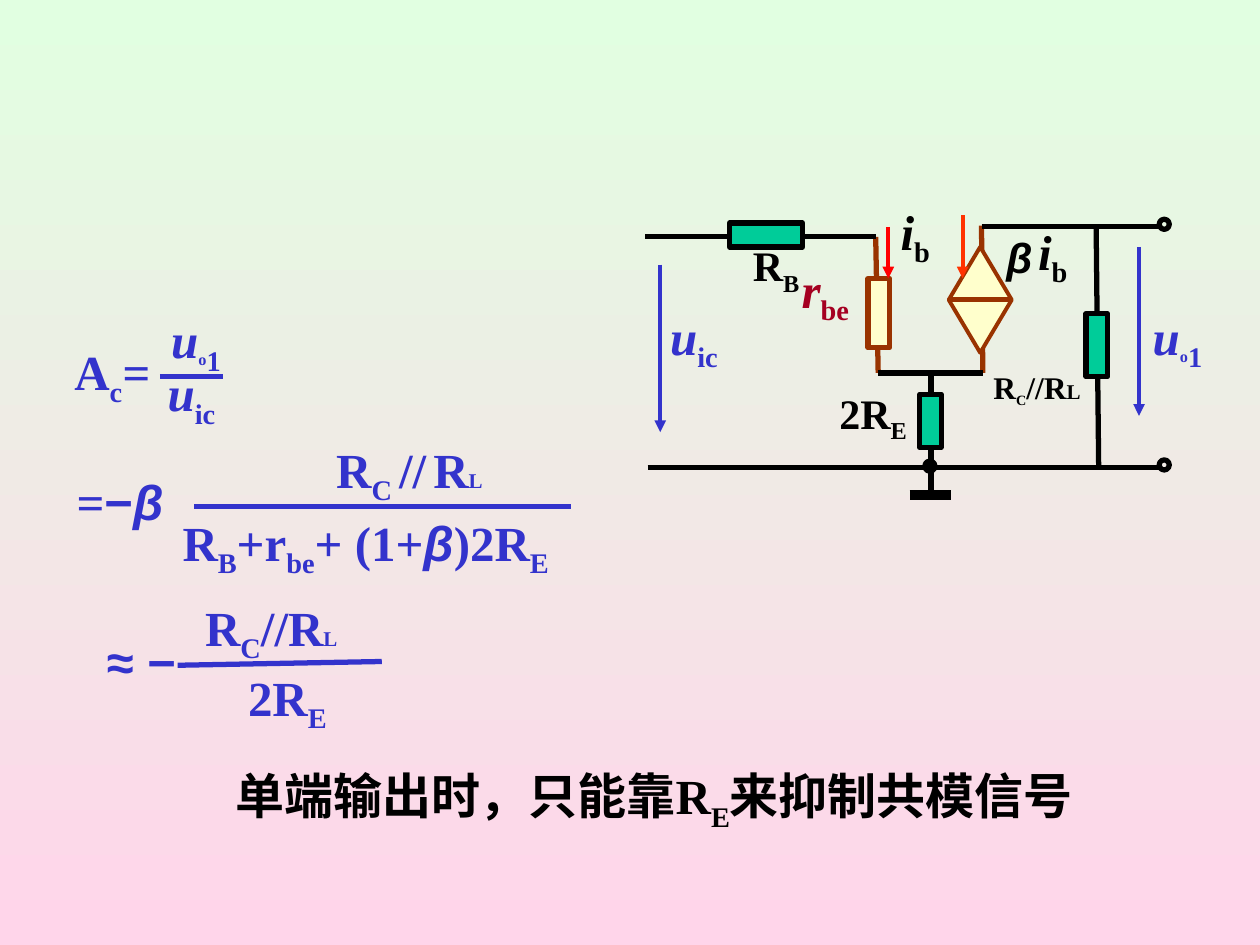
from lxml import etree
from pptx import Presentation
from pptx import util as u
from pptx.dml.color import RGBColor
from pptx.enum import shapes, text
from pptx.oxml.ns import qn

BLACK = RGBColor(0x00, 0x00, 0x00)
BLUE = RGBColor(0x33, 0x33, 0xCC)
BROWN = RGBColor(0x99, 0x33, 0x00)
CRIMSON = RGBColor(0xA5, 0x00, 0x21)
RED = RGBColor(0xFF, 0x00, 0x00)
ORANGE = RGBColor(0xFF, 0x33, 0x00)
GREEN = RGBColor(0x00, 0xCC, 0x99)
CREAM = RGBColor(0xFF, 0xFF, 0xCC)
MINT = RGBColor(0xE1, 0xFF, 0xE1)
PINK = RGBColor(0xFF, 0xD5, 0xEA)

SUB = {"baseline": -25000}
ITALIC = {"italic": True}
ARIAL = {"name": "Arial"}
SMALL = {"size": 12}
SMALL_SUB = {"size": 16, "baseline": -25000}

U_IC = [("u", ITALIC), ("ic", SUB)]
U_O1 = [("u", ITALIC), ("o", SMALL_SUB), ("1", SUB)]
I_B = [("i", ITALIC), ("b", SUB)]


class CircuitSlide:
    font = {"name": "Times New Roman", "bold": True, "italic": False}

    def __init__(self, prs):
        self.s = prs.slides.add_slide(prs.slide_layouts[6])

    def background(self, top, bottom):
        fill = self.s.background.fill
        fill.gradient()
        fill.gradient_angle = 270
        for stop, position, color in zip(fill.gradient_stops, (0, 1), (top, bottom)):
            stop.position = position
            stop.color.rgb = color

    def stroke(self, sp, color, width):
        sp.line.color.rgb = color
        sp.line.width = u.Pt(width)

    def line(self, x1, y1, x2, y2, color=BLACK, width=3, arrow=False):
        sp = self.s.shapes.add_connector(
            shapes.MSO_CONNECTOR.STRAIGHT, *map(u.Inches, (x1, y1, x2, y2)))
        self.stroke(sp, color, width)
        if arrow:
            etree.SubElement(sp.line._get_or_add_ln(), qn("a:tailEnd"), type="triangle")
        etree.SubElement(sp._element.spPr, qn("a:effectLst"))

    def arrow(self, x, top, bottom, color):
        self.line(x, top, x, bottom, color, 2.25, arrow=True)

    def finish(self, sp, fill, color, width):
        sp.shadow.inherit = False
        if fill is None:
            sp.fill.background()
        else:
            sp.fill.solid()
            sp.fill.fore_color.rgb = fill
        self.stroke(sp, color, width)

    def resistor(self, x, y, w, h, fill=GREEN, color=BLACK):
        sp = self.s.shapes.add_shape(
            shapes.MSO_SHAPE.RECTANGLE, *map(u.Inches, (x, y, w, h)))
        self.finish(sp, fill, color, 3)

    def node(self, x, y, fill=None):
        sp = self.s.shapes.add_shape(
            shapes.MSO_SHAPE.OVAL, *map(u.Inches, (x, y, 0.08, 0.08)))
        self.finish(sp, fill, BLACK, 3)

    def source(self, x, y, half_w, half_h):
        points = [(x + half_w, y), (x, y + half_h), (x - half_w, y)]
        builder = self.s.shapes.build_freeform(
            u.Inches(x), u.Inches(y - half_h), scale=1.0)
        builder.add_line_segments(
            [(u.Inches(px), u.Inches(py)) for px, py in points], close=True)
        self.finish(builder.convert_to_shape(), CREAM, BROWN, 2.25)
        self.line(x - half_w, y, x + half_w, y, BROWN)

    def label(self, x, y, w, h, runs, color=BLUE, size=28,
              center=False, middle=False, wrap=True):
        sp = self.s.shapes.add_textbox(*map(u.Inches, (x, y, w, h)))
        tf = sp.text_frame
        tf.word_wrap = wrap
        tf.auto_size = text.MSO_AUTO_SIZE.SHAPE_TO_FIT_TEXT
        if middle:
            tf.vertical_anchor = text.MSO_ANCHOR.MIDDLE
        p = tf.paragraphs[0]
        p.alignment = text.PP_ALIGN.CENTER if center else text.PP_ALIGN.LEFT
        for words, style in runs:
            r = p.add_run()
            r.text = words
            values = {**self.font, "size": size, **style}
            baseline = values.pop("baseline", None)
            values["size"] = u.Pt(values["size"])
            for key, value in values.items():
                setattr(r.font, key, value)
            r.font.color.rgb = color
            if baseline:
                r.font._element.set("baseline", str(baseline))


def draw_circuit(c):
    c.line(6.95, 1.88, 6.97, 2.96, BROWN)
    c.line(7.8, 2.96, 7.79, 1.79, BROWN)
    c.line(5.14, 3.71, 9.22, 3.71)
    c.line(8.7, 1.8, 8.72, 3.71)
    c.line(5.12, 1.88, 6.95, 1.88)
    c.line(7.79, 1.8, 9.2, 1.8)
    c.line(6.97, 2.96, 7.8, 2.96)
    c.line(7.39, 2.96, 7.39, 3.93)
    c.line(7.22, 3.93, 7.55, 3.93, width=6)

    c.resistor(5.79, 1.77, 0.58, 0.19)
    c.resistor(6.89, 2.21, 0.17, 0.55, CREAM, BROWN)
    c.resistor(7.3, 3.13, 0.17, 0.42)
    c.resistor(8.62, 2.49, 0.17, 0.5)
    c.source(7.78, 2.38, 0.25, 0.42)

    c.node(7.34, 3.66, BLACK)
    c.node(9.2, 1.74)
    c.node(9.2, 3.65)

    c.arrow(5.24, 2.1, 3.43, BLUE)
    c.arrow(9.04, 1.96, 3.3, BLUE)
    c.arrow(7.05, 1.8, 2.21, RED)
    c.arrow(7.64, 1.71, 2.21, ORANGE)

    centred = {"center": True, "middle": True}
    c.label(6.09, 2.01, 0.92, 0.63, [("r", ITALIC), ("be", SUB)], CRIMSON, **centred)
    c.label(7.8, 1.79, 0.58, 0.5, [("β", ARIAL | ITALIC)], BLACK, 24, **centred)
    c.label(7.68, 2.87, 1.1, 0.42,
            [("R", {}), ("C", SUB | {"size": 14}), ("//R", {}), ("L", SMALL)],
            BLACK, 18, **centred)
    c.label(5.7, 1.85, 0.92, 0.56, [("R", {}), ("B", SUB)], BLACK, 24, **centred)
    c.label(6.47, 3.02, 0.92, 0.56, [("2R", {}), ("E", SUB)], BLACK, 24, **centred)
    c.label(5.22, 2.38, 0.58, 0.63, U_IC, wrap=False)
    c.label(9.05, 2.38, 0.59, 0.63, U_O1, wrap=False)
    c.label(7.05, 1.55, 0.83, 0.63, I_B, BLACK)
    c.label(8.14, 1.71, 0.83, 0.63, I_B, BLACK)


def draw_equations(c):
    c.label(0.43, 2.66, 0.92, 0.63, [("A", {}), ("c", SUB), ("=", ITALIC)], center=True)
    c.label(1.18, 2.41, 0.75, 0.63, U_O1, center=True)
    c.line(1.27, 2.99, 1.77, 2.99, BLUE)
    c.label(1.02, 2.83, 1, 0.63, U_IC, center=True)

    c.label(0.51, 3.69, 2.8, 0.57, [("=", {}), ("−", ARIAL), ("β", ARIAL | ITALIC)])
    c.label(2.57, 3.44, 1.49, 0.63,
            [("R", {}), ("C ", SUB), ("//", {}), (" ", {"size": 16}),
             ("R", {}), ("L", SMALL)])
    c.line(4.53, 4.02, 1.54, 4.02, BLUE)
    c.label(1.35, 4.02, 3.55, 0.63,
            [("R", {}), ("B", SUB), ("+r", {}), ("be", SUB), ("+ (1+", {}),
             ("β", ARIAL | ITALIC), (")2R", {}), ("E", SUB)])

    c.label(0.75, 4.96, 0.83, 0.57, [("≈ −", ARIAL)])
    c.label(1.53, 4.69, 1.62, 0.63,
            [("R", {}), ("C", SUB), ("//R", {}), ("L", SMALL)])
    c.line(1.41, 5.28, 3.03, 5.25, BLUE)
    c.label(1.87, 5.25, 0.95, 0.63, [("2R", {}), ("E", SUB)])


def main():
    prs = Presentation()
    prs.slide_width = u.Inches(10)
    prs.slide_height = u.Inches(7.5)
    c = CircuitSlide(prs)
    c.background(MINT, PINK)
    draw_circuit(c)
    draw_equations(c)
    c.label(1.77, 6.03, 8, 0.63,
            [("单端输出时，只能靠R", {}), ("E", SUB), ("来抑制共模信号", {})], BLACK)
    prs.save("out.pptx")


if __name__ == "__main__":
    main()
